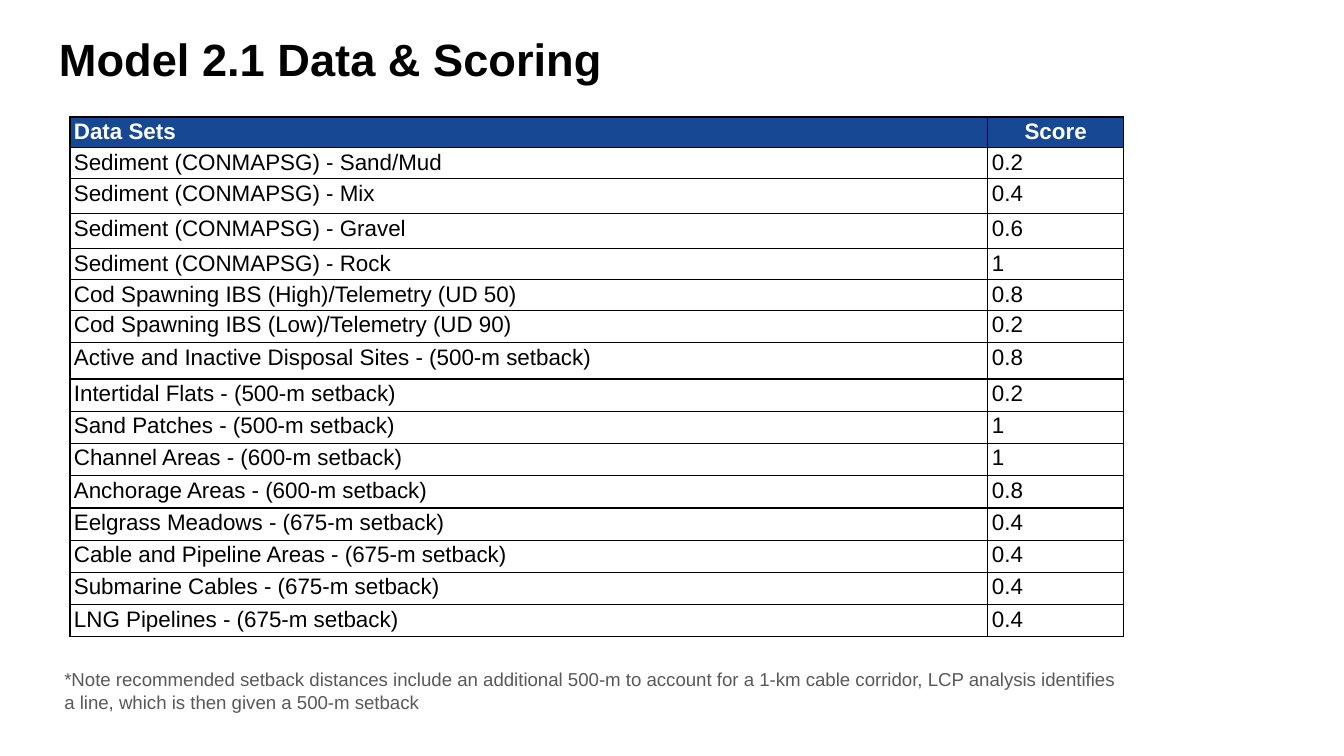
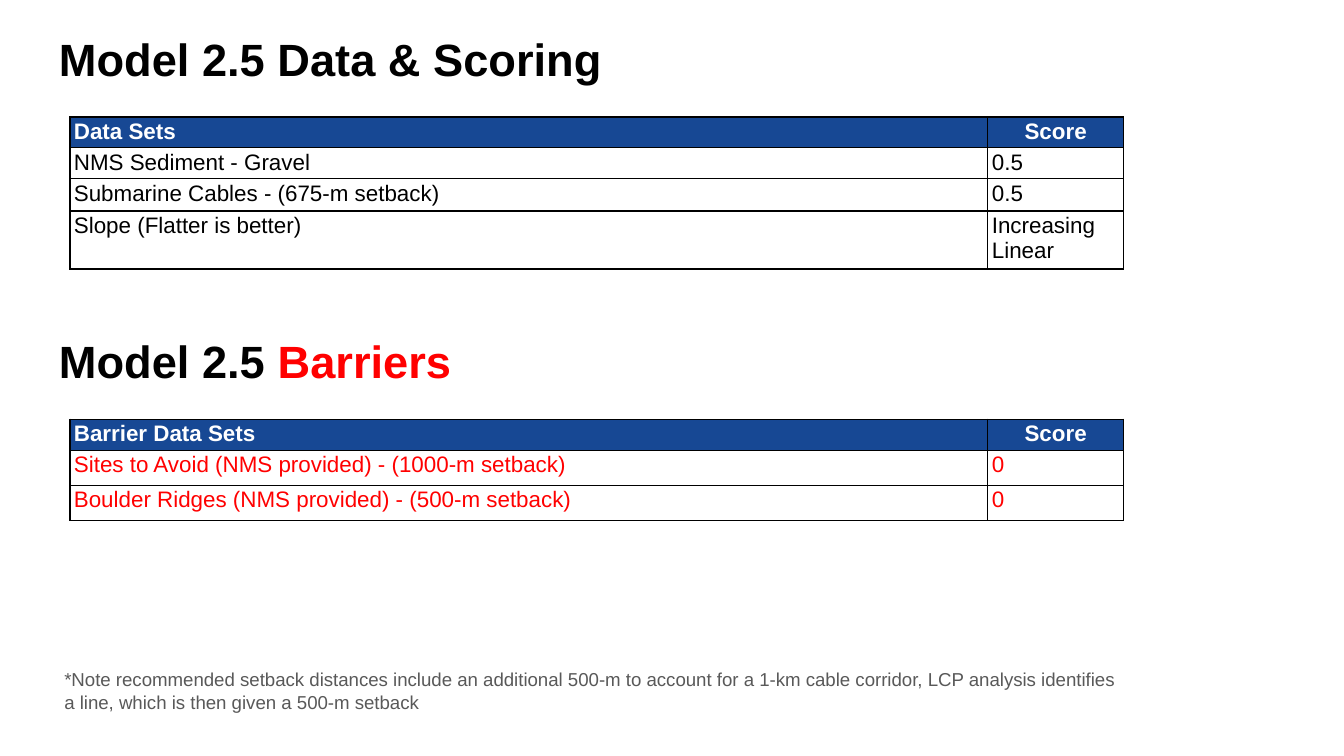
from dataclasses import dataclass

from lxml.etree import SubElement
from pptx import Presentation
from pptx.dml.color import RGBColor
from pptx.enum.text import MSO_ANCHOR, PP_ALIGN
from pptx.oxml.ns import qn
from pptx.util import Emu, Pt

SCALE = 4572


@dataclass(frozen=True)
class Theme:
    """Colours, font and type sizes shared by the slides."""
    font: str = "Arial"
    black: str = "000000"
    white: str = "FFFFFF"
    blue: str = "174894"
    red: str = "FF0000"
    grey: str = "595959"
    title: float = 24.2
    cell: float = 12
    note: float = 10
    border: float = 0.75


THEME = Theme()
COLUMNS = (1366, 202)
NOTE = ("*Note recommended setback distances include an additional 500-m to account "
        "for a 1-km cable corridor, LCP analysis identifies a line, which is then "
        "given a 500-m setback")
SCORES_21 = [
    ("Sediment (CONMAPSG) - Sand/Mud", "0.2", 46),
    ("Sediment (CONMAPSG) - Mix", "0.4", 52),
    ("Sediment (CONMAPSG) - Gravel", "0.6", 52),
    ("Sediment (CONMAPSG) - Rock", "1", 44),
    ("Cod Spawning IBS (High)/Telemetry (UD 50)", "0.8", 46),
    ("Cod Spawning IBS (Low)/Telemetry (UD 90)", "0.2", 48),
    ("Active and Inactive Disposal Sites - (500-m setback)", "0.8", 54),
    ("Intertidal Flats - (500-m setback)", "0.2", 48),
    ("Sand Patches - (500-m setback)", "1", 48),
    ("Channel Areas - (600-m setback)", "1", 48),
    ("Anchorage Areas - (600-m setback)", "0.8", 48),
    ("Eelgrass Meadows - (675-m setback)", "0.4", 48),
    ("Cable and Pipeline Areas - (675-m setback)", "0.4", 48),
    ("Submarine Cables - (675-m setback)", "0.4", 48),
    ("LNG Pipelines - (675-m setback)", "0.4", 48),
]
SCORES_25 = [
    ("NMS Sediment - Gravel", "0.5", 46),
    ("Submarine Cables - (675-m setback)", "0.5", 48),
    ("Slope (Flatter is better)", "Increasing Linear", 48),
]
BARRIERS_25 = [
    ("Sites to Avoid (NMS provided) - (1000-m setback)", "0", 52),
    ("Boulder Ridges (NMS provided) - (500-m setback)", "0", 52),
]


def px(n):
    """Turn whole px into EMU."""
    return Emu(n * SCALE)


def set_attrs(obj, values):
    """Set every attribute named in a dict of format values."""
    for name, value in values.items():
        setattr(obj, name, value)


def add_run(p, text, size, color, bold=False):
    """Add one formatted run to a paragraph."""
    r = p.add_run()
    r.text = text
    set_attrs(r.font, {"name": THEME.font, "size": Pt(size), "bold": bold})
    r.font.color.rgb = RGBColor.from_string(color)


def add_text(s, box, runs, size, bold=False, anchor=MSO_ANCHOR.TOP):
    """Add a wrapped text box holding one paragraph of coloured runs."""
    tf = s.shapes.add_textbox(*map(px, box)).text_frame
    sides = ("margin_left", "margin_top", "margin_right", "margin_bottom")
    set_attrs(tf, {"word_wrap": True, "vertical_anchor": anchor,
                   **dict.fromkeys(sides, px(20))})
    for text, color in runs:
        add_run(tf.paragraphs[0], text, size, color, bold)


def add_title(s, top, *runs):
    """Add a bold heading at the given height."""
    add_text(s, (68, top, 1864, 126), runs, THEME.title, True, MSO_ANCHOR.MIDDLE)


def add_note(s):
    """Add the setback note at the foot of the slide."""
    add_text(s, (76, 974, 1604, 162), [(NOTE, THEME.grey)], THEME.note)


def add_borders(cell):
    """Draw a thin black line on all four sides of a cell."""
    tc_pr = cell._tc.get_or_add_tcPr()
    for side in ("a:lnL", "a:lnR", "a:lnT", "a:lnB"):
        ln = SubElement(tc_pr, qn(side), w=str(Pt(THEME.border)))
        fill = SubElement(ln, qn("a:solidFill"))
        SubElement(fill, qn("a:srgbClr"), val=THEME.black)


def fill_cell(cell, text, color, header, centred):
    """Format one table cell and write its text."""
    set_attrs(cell, {"margin_left": px(6), "margin_right": px(6),
                     "margin_top": px(3), "margin_bottom": px(3)})
    add_borders(cell)
    if header:
        cell.fill.solid()
        cell.fill.fore_color.rgb = RGBColor.from_string(THEME.blue)
    else:
        cell.fill.background()
    p = cell.text_frame.paragraphs[0]
    p.alignment = PP_ALIGN.CENTER if centred else PP_ALIGN.LEFT
    add_run(p, text, THEME.cell, color, header)


def add_score_table(s, top, heading, scores, color=THEME.black):
    """Add a table of data sets and their scores."""
    rows = [(heading, "Score", 42), *scores]
    height = sum(row[-1] for row in rows)
    tbl = s.shapes.add_table(len(rows), len(COLUMNS), px(104), px(top),
                             px(sum(COLUMNS)), px(height)).table
    tbl.horz_banding = False
    for col, width in zip(tbl.columns, COLUMNS):
        col.width = px(width)
    for i, (*texts, row_height) in enumerate(rows):
        tbl.rows[i].height = px(row_height)
        header = i == 0
        for j, text in enumerate(texts):
            fill_cell(tbl.cell(i, j), text, THEME.white if header else color,
                      header, header and j == 1)


def main():
    """Build both scoring slides and save them."""
    prs = Presentation()
    set_attrs(prs, {"slide_width": px(2000), "slide_height": px(1125)})
    blank = prs.slide_layouts[6]

    s = prs.slides.add_slide(blank)
    add_title(s, 24, ("Model 2.1 Data & Scoring", THEME.black))
    add_score_table(s, 174, "Data Sets", SCORES_21)
    add_note(s)

    s = prs.slides.add_slide(blank)
    add_title(s, 24, ("Model 2.5 Data & Scoring", THEME.black))
    add_score_table(s, 174, "Data Sets", SCORES_25)
    add_note(s)
    add_title(s, 474, ("Model 2.5 ", THEME.black), ("Barriers", THEME.red))
    add_score_table(s, 624, "Barrier Data Sets", BARRIERS_25, THEME.red)

    prs.save("out.pptx")


if __name__ == "__main__":
    main()
